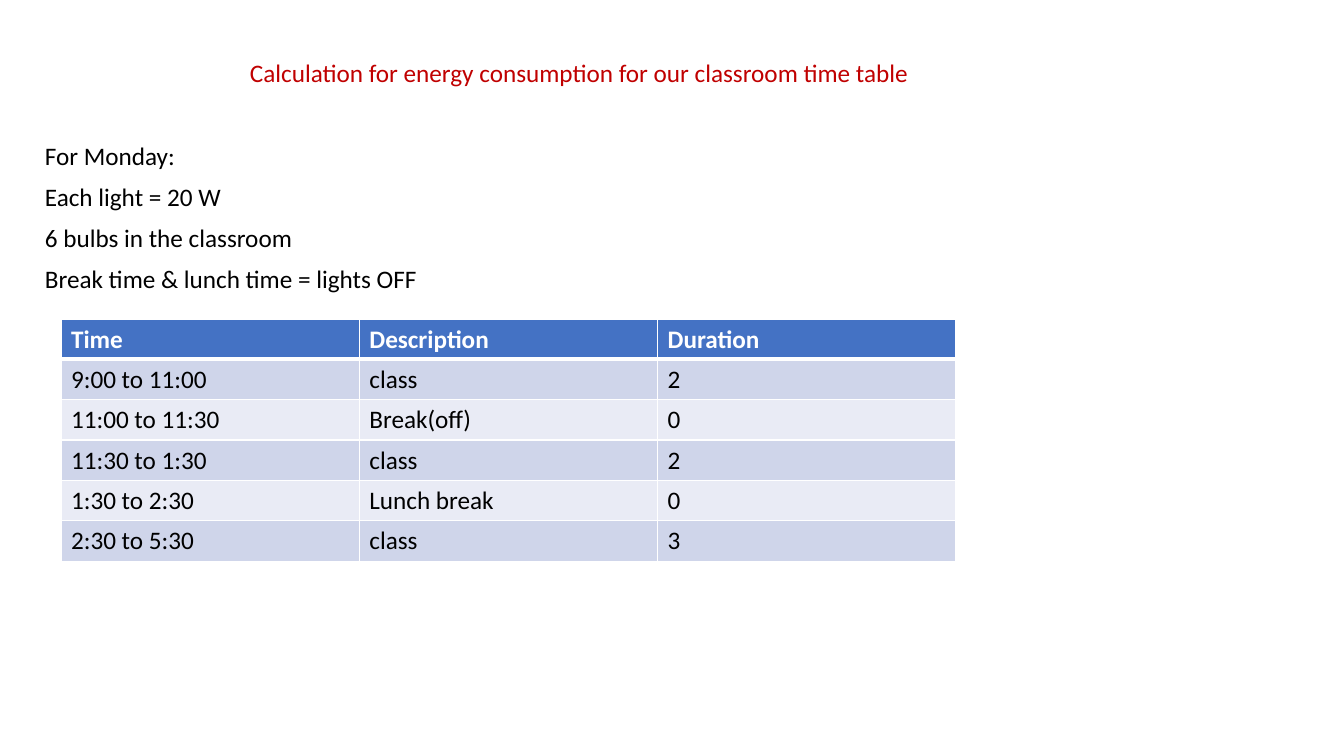
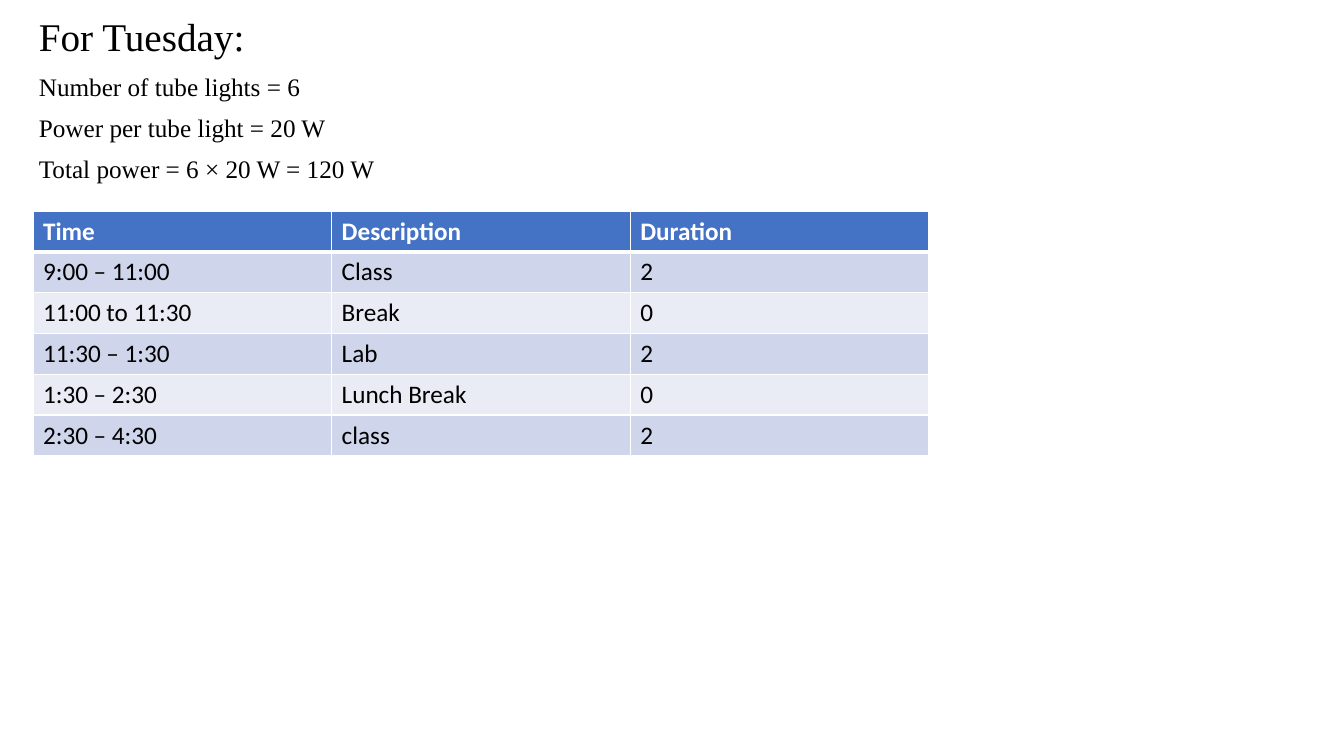
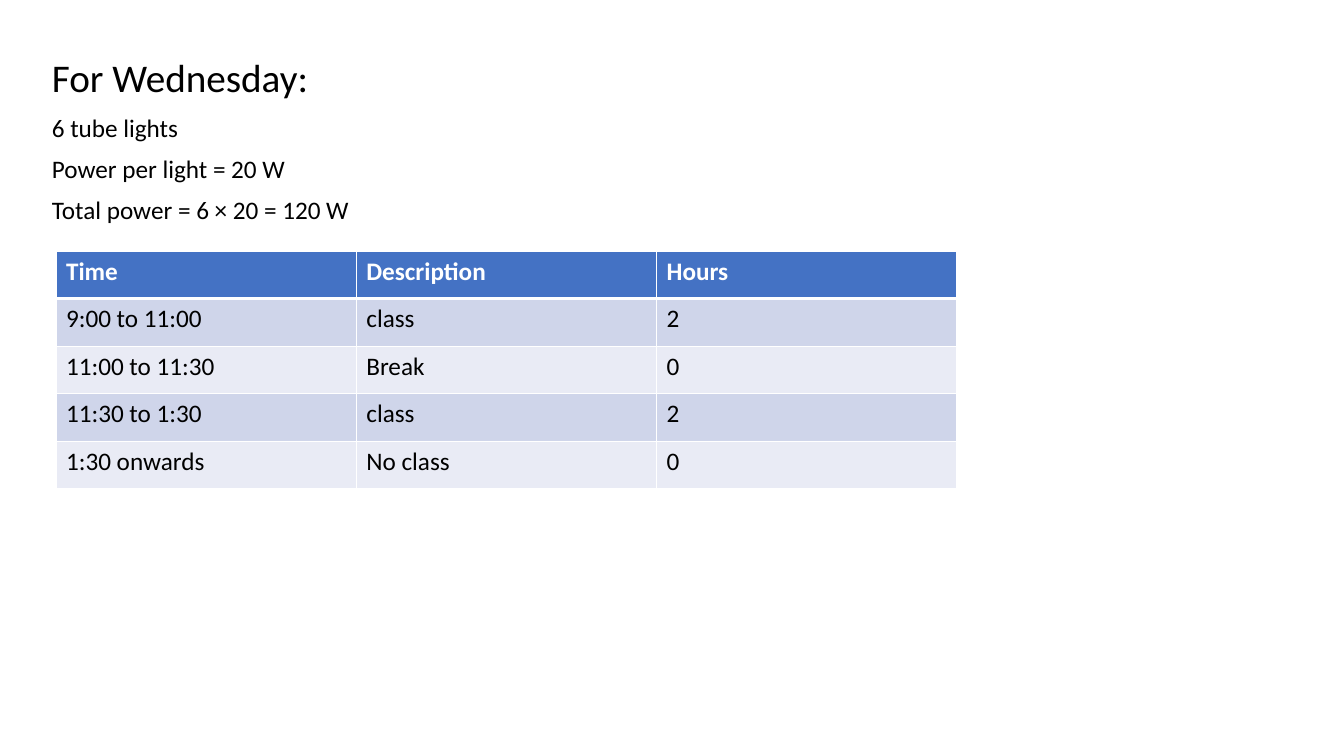
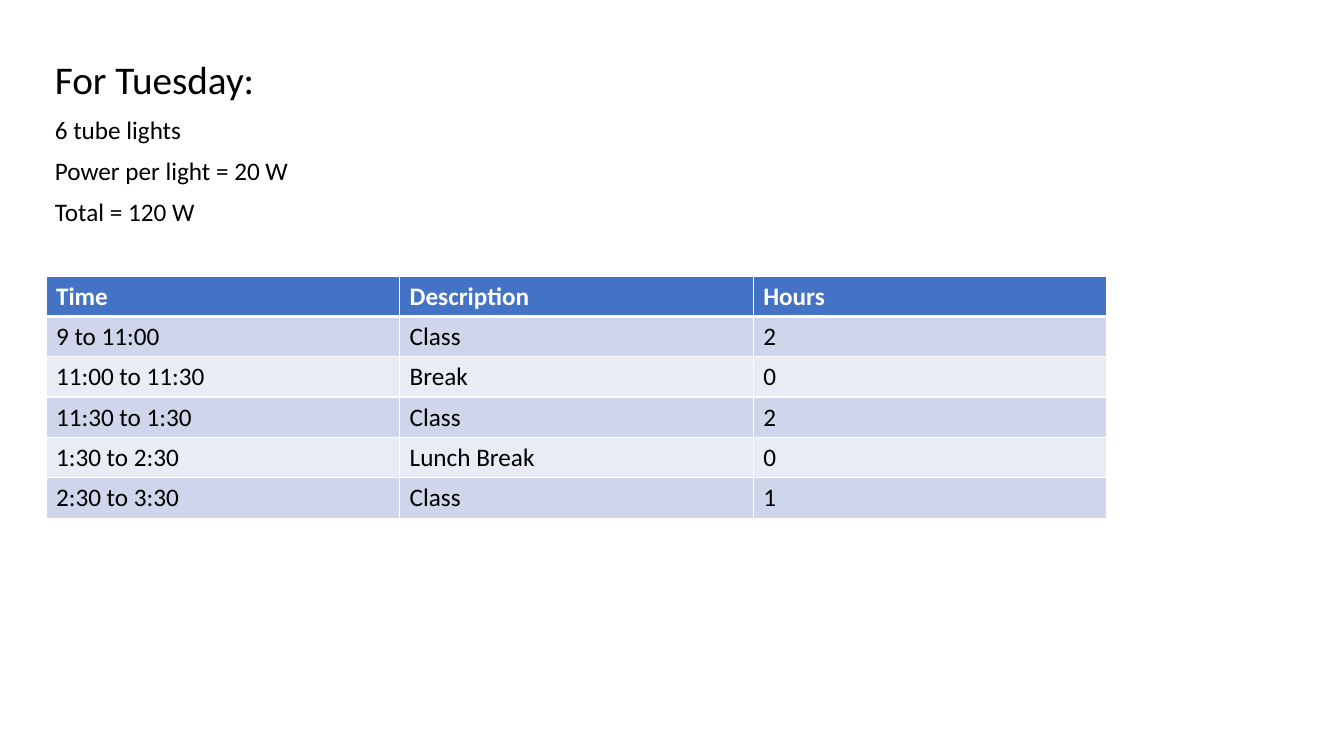
from dataclasses import dataclass

from lxml import etree
from pptx import Presentation
from pptx.dml.color import RGBColor
from pptx.oxml.ns import qn
from pptx.util import Emu, Pt

SLIDE_WIDTH, SLIDE_HEIGHT = 1344, 756
EMU_PER_PX = 12192000 / SLIDE_WIDTH
BLANK_LAYOUT = 6


@dataclass(frozen=True)
class Theme:
    ink: str = "000000"
    title: str = "C00000"
    header: str = "4472C4"
    header_ink: str = "FFFFFF"
    bands: tuple = ("CFD5EA", "E9EBF5")
    border: str = "FFFFFF"
    font: str = "Calibri"
    serif: str = "Times New Roman"
    heading_size: int = 28
    body_size: int = 18
    line_spacing: float = 0.9
    space_before: int = 10
    thin: int = 1
    thick: int = 3


THEME = Theme()


@dataclass(frozen=True)
class Line:
    text: str
    size: int = THEME.body_size
    color: str = THEME.ink
    indent: int = 0
    space_after: float = 0


def px(length):
    return Emu(round(length * EMU_PER_PX))


class DeckBuilder:
    def __init__(self, theme):
        self.theme = theme
        self.deck = Presentation()
        self.deck.slide_width = px(SLIDE_WIDTH)
        self.deck.slide_height = px(SLIDE_HEIGHT)
        self.page = None

    def new_page(self):
        self.page = self.deck.slides.add_slide(self.deck.slide_layouts[BLANK_LAYOUT])

    def add_span(self, para, text, size, color, font, bold=False):
        span = para.add_run()
        span.text = text
        span.font.size = Pt(size)
        span.font.name = font
        span.font.bold = bold
        span.font.color.rgb = RGBColor.from_string(color)

    def text_block(self, area, lines, font):
        box = self.page.shapes.add_textbox(*map(px, area))
        frame = box.text_frame
        frame.word_wrap = True
        for index, line in enumerate(lines):
            para = frame.add_paragraph() if index else frame.paragraphs[0]
            para.line_spacing = self.theme.line_spacing
            para.space_before = Pt(self.theme.space_before)
            para.space_after = Pt(line.space_after)
            if line.indent:
                para._p.get_or_add_pPr().set("marL", str(px(line.indent)))
            self.add_span(para, line.text, line.size, line.color, font)

    def cell_borders(self, cell, top, bottom):
        """Draw the four borders; top and bottom are widths in points."""
        properties = cell._tc.get_or_add_tcPr()
        thin = self.theme.thin
        sides = (("a:lnL", thin), ("a:lnR", thin), ("a:lnT", top), ("a:lnB", bottom))
        for position, (tag, width) in enumerate(sides):
            border = etree.Element(qn(tag), w=str(Pt(width)))
            fill = etree.SubElement(border, qn("a:solidFill"))
            etree.SubElement(fill, qn("a:srgbClr"), val=self.theme.border)
            properties.insert(position, border)

    def timetable(self, area, rows):
        """Add a table with equal rows and columns; the first row is the header."""
        theme = self.theme
        left, top, width, height = area
        table = self.page.shapes.add_table(
            len(rows), len(rows[0]), px(left), px(top), px(width), px(height)
        ).table
        table.horz_banding = False
        for row_index, values in enumerate(rows):
            is_header = row_index == 0
            fill = theme.header if is_header else theme.bands[(row_index - 1) % 2]
            ink = theme.header_ink if is_header else theme.ink
            for column_index, value in enumerate(values):
                cell = table.cell(row_index, column_index)
                cell.fill.solid()
                cell.fill.fore_color.rgb = RGBColor.from_string(fill)
                self.add_span(cell.text_frame.paragraphs[0], value,
                              theme.body_size, ink, theme.font, is_header)
                self.cell_borders(
                    cell,
                    theme.thick if row_index == 1 else theme.thin,
                    theme.thick if is_header else theme.thin,
                )


def day_heading(day):
    return Line(f"For {day}:", THEME.heading_size)


PAGES = [
    {
        "text_area": (35, 56, 1217, 625),
        "font": THEME.font,
        "lines": [
            Line("Calculation for energy consumption for our classroom time table",
                 color=THEME.title, indent=205, space_after=29.5),
            Line("For Monday:"),
            Line("Each light = 20 W"),
            Line("6 bulbs in the classroom"),
            Line("Break time & lunch time = lights OFF"),
        ],
        "table_area": (61, 319, 895, 242),
        "rows": [
            ("Time", "Description", "Duration"),
            ("9:00 to 11:00", "class", "2"),
            ("11:00 to 11:30", "Break(off)", "0"),
            ("11:30 to 1:30", "class", "2"),
            ("1:30 to 2:30", "Lunch break", "0"),
            ("2:30 to 5:30", "class", "3"),
        ],
    },
    {
        "text_area": (29, 13, 1223, 668),
        "font": THEME.serif,
        "lines": [
            day_heading("Tuesday"),
            Line("Number of tube lights = 6"),
            Line("Power per tube light = 20 W"),
            Line("Total power = 6 × 20 W = 120 W"),
        ],
        "table_area": (33, 211, 896, 245),
        "rows": [
            ("Time", "Description", "Duration"),
            ("9:00 – 11:00", "Class", "2"),
            ("11:00 to 11:30", "Break", "0"),
            ("11:30 – 1:30", "Lab", "2"),
            ("1:30 – 2:30", "Lunch Break", "0"),
            ("2:30 – 4:30", "class", "2"),
        ],
    },
    {
        "text_area": (42, 54, 1210, 626),
        "font": THEME.font,
        "lines": [
            day_heading("Wednesday"),
            Line("6 tube lights"),
            Line("Power per light = 20 W"),
            Line("Total power = 6 × 20 = 120 W"),
        ],
        "table_area": (56, 251, 901, 238),
        "rows": [
            ("Time", "Description", "Hours"),
            ("9:00 to 11:00", "class", "2"),
            ("11:00 to 11:30", "Break", "0"),
            ("11:30 to 1:30", "class", "2"),
            ("1:30 onwards", "No class", "0"),
        ],
    },
    {
        "text_area": (45, 56, 1207, 625),
        "font": THEME.font,
        "lines": [
            day_heading("Tuesday"),
            Line("6 tube lights"),
            Line("Power per light = 20 W"),
            Line("Total = 120 W"),
        ],
        "table_area": (46, 276, 1061, 242),
        "rows": [
            ("Time", "Description", "Hours"),
            ("9 to 11:00", "Class", "2"),
            ("11:00 to 11:30", "Break", "0"),
            ("11:30 to 1:30", "Class", "2"),
            ("1:30 to 2:30", "Lunch Break", "0"),
            ("2:30 to 3:30", "Class", "1"),
        ],
    },
]


def main():
    builder = DeckBuilder(THEME)
    for content in PAGES:
        builder.new_page()
        builder.text_block(content["text_area"], content["lines"], content["font"])
        builder.timetable(content["table_area"], content["rows"])
    builder.deck.save("out.pptx")


if __name__ == "__main__":
    main()
